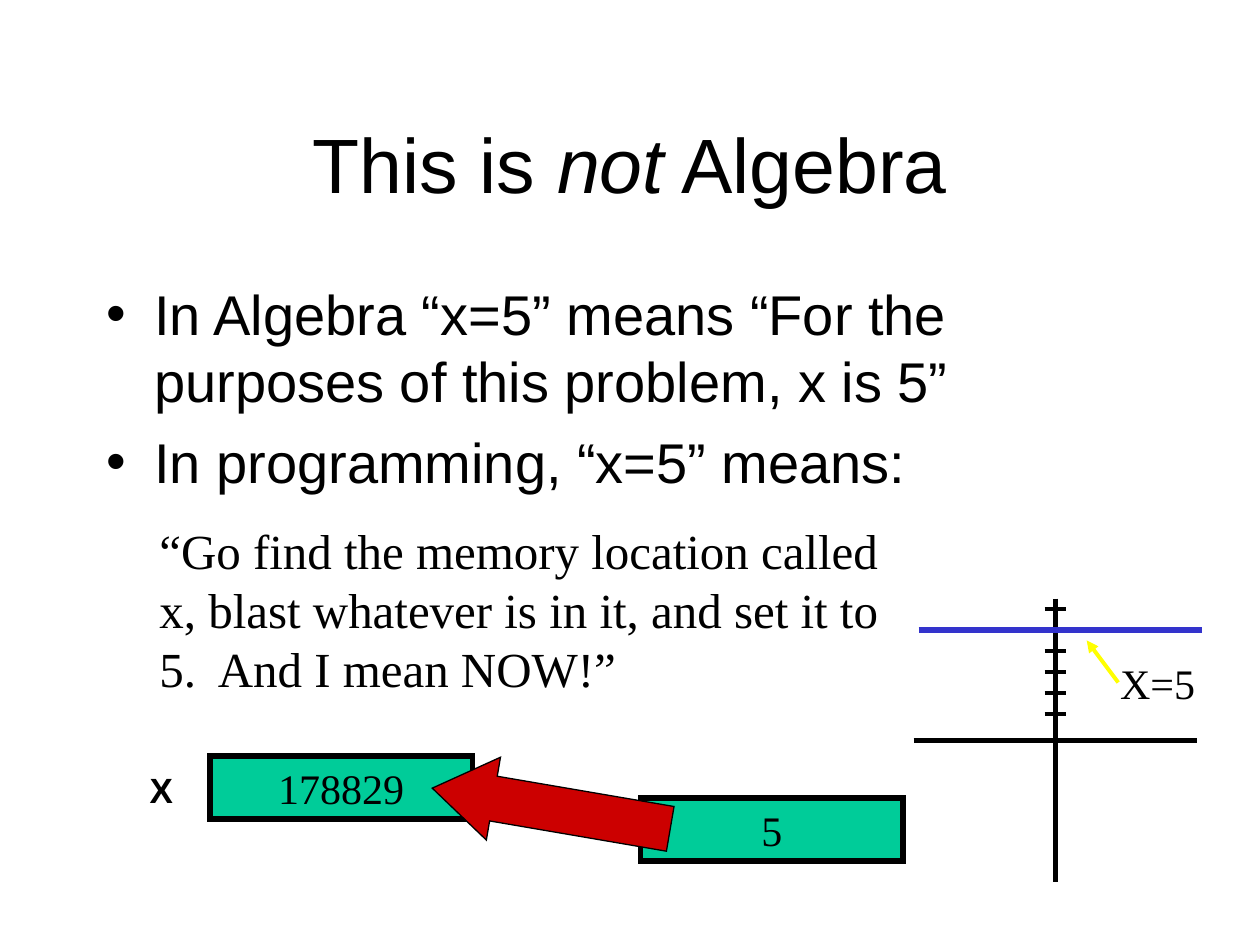
"""Build the slide that contrasts algebra with assignment in programming."""
from pptx import Presentation
from pptx.dml.color import RGBColor
from pptx.enum import shapes, text
from pptx.oxml import parse_xml
from pptx.oxml.ns import nsdecls
from pptx.util import Pt

BLACK = RGBColor(0x00, 0x00, 0x00)
BLUE = RGBColor(0x33, 0x33, 0xCC)
YELLOW = RGBColor(0xFF, 0xFF, 0x00)
GREEN = RGBColor(0x00, 0xCC, 0x99)
RED = RGBColor(0xCC, 0x00, 0x00)
SANS, SERIF = "Arial", "Times New Roman"

TITLE = [("This is ", False), ("not", True), (" Algebra", False)]
BULLETS = [
    "In Algebra “x=5” means “For the purposes of this problem, x is 5”",
    "In programming, “x=5” means:",
]
QUOTE = ("“Go find the memory location called x, blast whatever is in it, "
         "and set it to 5.  And I mean NOW!”")
MEMORY_CELLS = [("178829", 120, 432), ("5", 366, 456)]
CELL_SIZE = (150, 36)

ORIGIN = (603, 423)
AXIS_LENGTH = 162
TICK_TOP, TICK_STEP, TICK_COUNT, TICK_HALF = 348, 12, 6, 6


def element(tag, attributes=""):
    """Make an empty DrawingML element."""
    return parse_xml(f'<a:{tag} {nsdecls("a")} {attributes}/>')


def write(box, paragraphs, font=SERIF, size=24, bold=False, bullet=False, wrap=True,
          align=text.PP_ALIGN.LEFT, anchor=text.MSO_ANCHOR.TOP):
    """Fill a shape with paragraphs, each a string or a list of (text, italic)."""
    frame = box.text_frame
    frame.word_wrap = wrap
    frame.vertical_anchor = anchor
    for index, content in enumerate(paragraphs):
        para = frame.add_paragraph() if index else frame.paragraphs[0]
        para.alignment = align
        if bullet:
            para.space_before = Pt(8)
            properties = para._p.get_or_add_pPr()
            properties.set("marL", str(Pt(27)))
            properties.set("indent", str(-Pt(27)))
            properties.append(element("buFont", f'typeface="{font}"'))
            properties.append(element("buChar", 'char="•"'))
        spans = [(content, False)] if isinstance(content, str) else content
        for words, italic in spans:
            span = para.add_run()
            span.text = words
            span.font.name = font
            span.font.size = Pt(size)
            span.font.bold = bold
            span.font.italic = italic
            span.font.color.rgb = BLACK


def add_text(page, area, paragraphs, wrap=True, **style):
    """Add a text box at area (left, top, width, height)."""
    box = page.shapes.add_textbox(*map(Pt, area))
    write(box, paragraphs, wrap=wrap, **style)
    if not wrap:
        box.text_frame.auto_size = text.MSO_AUTO_SIZE.SHAPE_TO_FIT_TEXT


def add_line(page, start, end, color=BLACK, width=3, arrow=False):
    """Add a straight line, with an arrowhead at its end on request."""
    line = page.shapes.add_connector(
        shapes.MSO_CONNECTOR.STRAIGHT, *map(Pt, (*start, *end)))
    line.line.color.rgb = color
    line.line.width = Pt(width)
    if arrow:
        line.line._get_or_add_ln().append(element("tailEnd", 'type="triangle"'))
    line._element.spPr.append(element("effectLst"))


def add_block(page, kind, area, fill, width):
    """Add a filled preset shape with a sharp-cornered black outline."""
    block = page.shapes.add_shape(kind, *map(Pt, area))
    block.shadow.inherit = False
    block.fill.solid()
    block.fill.fore_color.rgb = fill
    block.line.color.rgb = BLACK
    block.line.width = Pt(width)
    block.line._get_or_add_ln().append(element("miter", 'lim="800000"'))
    return block


def add_graph(page):
    """Draw the axes, the ticks and the labelled line."""
    x, y = ORIGIN
    half = AXIS_LENGTH / 2
    add_line(page, (x, y - half), (x, y + half))
    add_line(page, (x - half, y), (x + half, y))
    for number in range(TICK_COUNT):
        tick = TICK_TOP + number * TICK_STEP
        add_line(page, (x - TICK_HALF, tick), (x + TICK_HALF, tick), width=2.25)
    add_line(page, (525, 360), (525 + AXIS_LENGTH, 360), color=BLUE)
    add_text(page, (633, 372, 58, 36), ["X=5"], wrap=False)
    add_line(page, (639, 390), (621, 366), color=YELLOW, width=2.25, arrow=True)


deck = Presentation()
deck.slide_width, deck.slide_height = Pt(720), Pt(540)
page = deck.slides.add_slide(deck.slide_layouts[6])

add_text(page, (54, 48, 612, 90), [TITLE], font=SANS, size=44,
         align=text.PP_ALIGN.CENTER, anchor=text.MSO_ANCHOR.MIDDLE)
add_text(page, (54, 156, 612, 324), BULLETS, font=SANS, size=32, bullet=True)
add_graph(page)
add_text(page, (84, 294, 444, 108), [QUOTE], size=28)
add_text(page, (78.5, 435.5, 27.5, 31.5), ["X"], font=SANS, size=20, bold=True, wrap=False)
for value, left, top in MEMORY_CELLS:
    cell = add_block(page, shapes.MSO_SHAPE.RECTANGLE, (left, top, *CELL_SIZE), GREEN, 3)
    write(cell, [value], wrap=False, align=text.PP_ALIGN.CENTER,
          anchor=text.MSO_ANCHOR.MIDDLE)

arrow = add_block(page, shapes.MSO_SHAPE.LEFT_ARROW, (246, 438, 138, 48), RED, 0.75)
arrow.adjustments[0] = 0.54
arrow.adjustments[1] = 0.74
arrow.rotation = 9.7

deck.save("out.pptx")
